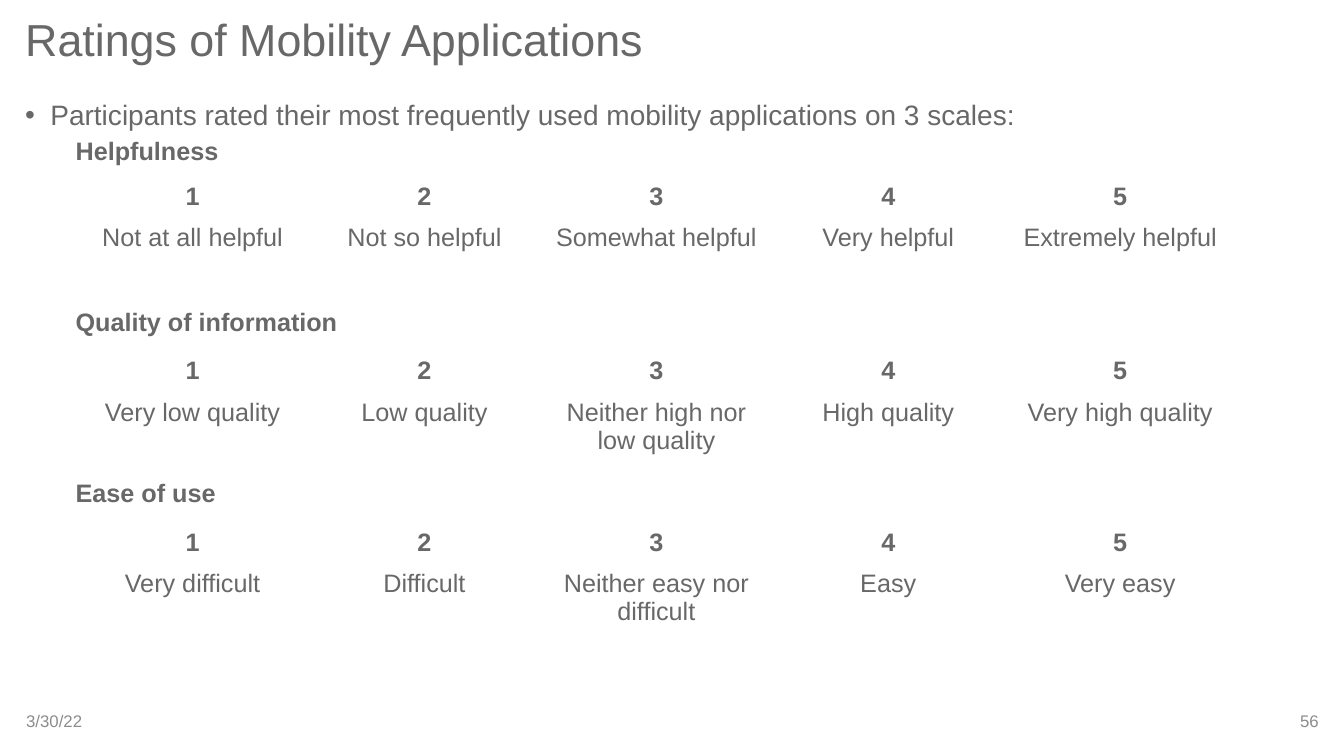
from pptx import Presentation
from pptx.dml.color import RGBColor
from pptx.enum.text import MSO_ANCHOR, PP_ALIGN
from pptx.util import Inches, Pt
from lxml import etree

TOP, MIDDLE = MSO_ANCHOR.TOP, MSO_ANCHOR.MIDDLE
LEFT, CENTER, RIGHT = PP_ALIGN.LEFT, PP_ALIGN.CENTER, PP_ALIGN.RIGHT
COLORS = {"text": "696868", "foot": "8C8C8C"}
FONT = "Arial"
NS = "{http://schemas.openxmlformats.org/drawingml/2006/main}"

TITLE = "Ratings of Mobility Applications"
INTRO = "Participants rated their most frequently used mobility applications on 3 scales:"
DATE, PAGE = "3/30/22", "56"
# heading, table top, labels for ratings 1 to 5
SCALES = [
    ("Helpfulness", 1.76,
     ["Not at all helpful", "Not so helpful", "Somewhat helpful",
      "Very helpful", "Extremely helpful"]),
    ("Quality of information", 3.49,
     ["Very low quality", "Low quality", "Neither high nor low quality",
      "High quality", "Very high quality"]),
    ("Ease of use", 5.19,
     ["Very difficult", "Difficult", "Neither easy nor difficult",
      "Easy", "Very easy"]),
]
WIDE, HIGH = 13.33, 7.5
HEAD_TOP, HEAD_STEP = 1.29, 1.7
TABLE_LEFT, COL_W, ROW_H = 0.76, 2.3, 0.41


def style(para, size, bold=False, color="text", align=LEFT):
    para.alignment = align
    for run in para.runs:
        run.font.name = FONT
        run.font.size = Pt(size)
        run.font.bold = bold
        run.font.color.rgb = RGBColor.from_string(COLORS[color])


def add_text(slide, text, box, size, anchor=MIDDLE, inset=(0.25, 0.1),
             space=1.0, **look):
    frame = slide.shapes.add_textbox(*map(Inches, box)).text_frame
    frame.word_wrap = True
    frame.vertical_anchor = anchor
    frame.margin_left, frame.margin_right = map(Inches, inset)
    frame.text = text
    para = frame.paragraphs[0]
    para.line_spacing = space
    style(para, size, **look)
    return para


def add_bullet(para, indent):
    props = para._p.get_or_add_pPr()
    props.set("marL", str(Inches(indent)))
    props.set("indent", str(-Inches(indent)))
    etree.SubElement(props, NS + "buFont", typeface=FONT)
    etree.SubElement(props, NS + "buChar", char="•")


def add_scale(slide, top, labels):
    rows = [[str(n) for n in range(1, len(labels) + 1)], labels]
    table = slide.shapes.add_table(
        len(rows), len(labels), Inches(TABLE_LEFT), Inches(top),
        Inches(COL_W * len(labels)), Inches(ROW_H * len(rows))).table
    table.first_row = table.horz_banding = False
    for r, row in enumerate(rows):
        table.rows[r].height = Inches(ROW_H)
        for c, text in enumerate(row):
            cell = table.cell(r, c)
            cell.fill.background()
            cell.text_frame.text = text
            style(cell.text_frame.paragraphs[0], 18, bold=r == 0, align=CENTER)


def main():
    prs = Presentation()
    prs.slide_width, prs.slide_height = Inches(WIDE), Inches(HIGH)
    slide = prs.slides.add_slide(prs.slide_layouts[6])

    add_text(slide, TITLE, (0, 0.05, WIDE, 0.74), 32, space=0.9)
    intro = add_text(slide, INTRO, (0, 0.96, WIDE, 0.4), 20, TOP, space=0.9)
    add_bullet(intro, 0.25)
    for i, (head, top, labels) in enumerate(SCALES):
        add_text(slide, head, (0.5, HEAD_TOP + i * HEAD_STEP, 6, 0.4), 18,
                 bold=True)
        add_scale(slide, top, labels)
    add_text(slide, DATE, (0.01, 6.95, 3, 0.4), 12, color="foot")
    add_text(slide, PAGE, (WIDE - 3, 6.95, 3, 0.4), 12, inset=(0.1, 0.25),
             color="foot", align=RIGHT)
    prs.save("out.pptx")


if __name__ == "__main__":
    main()
